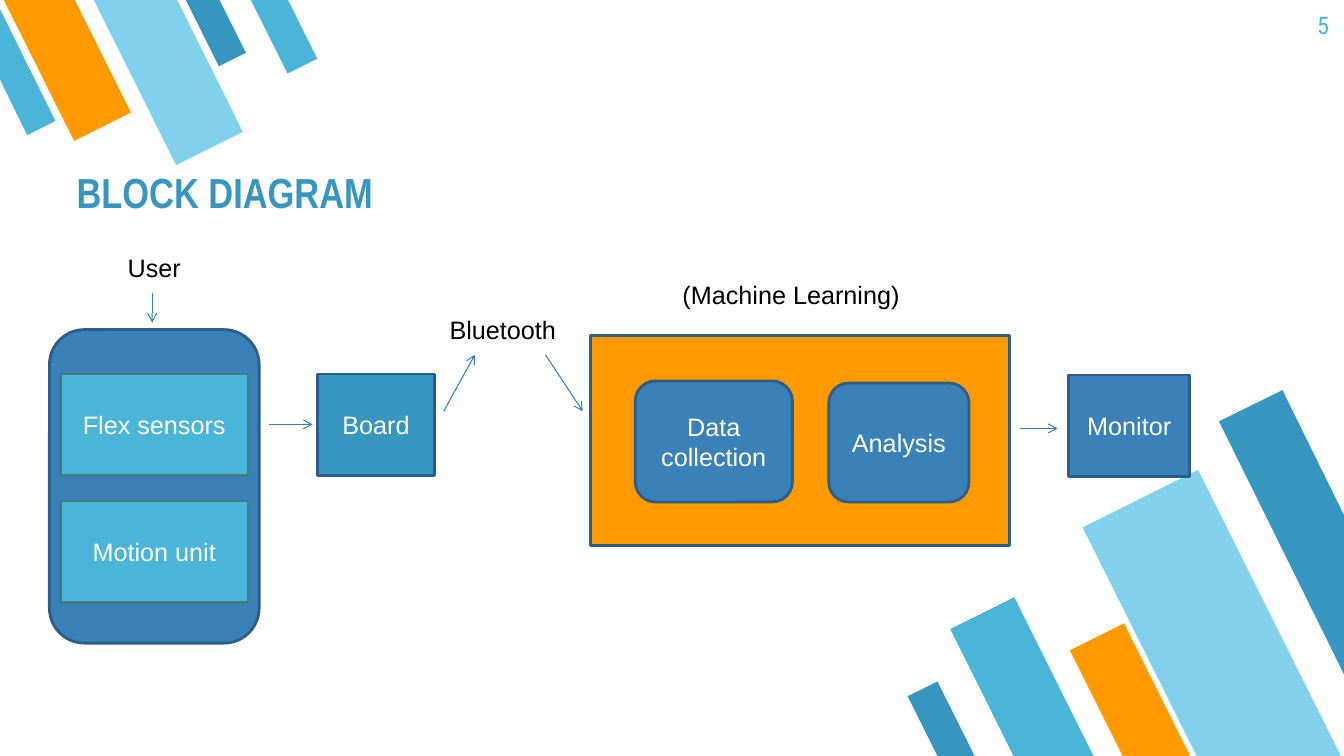
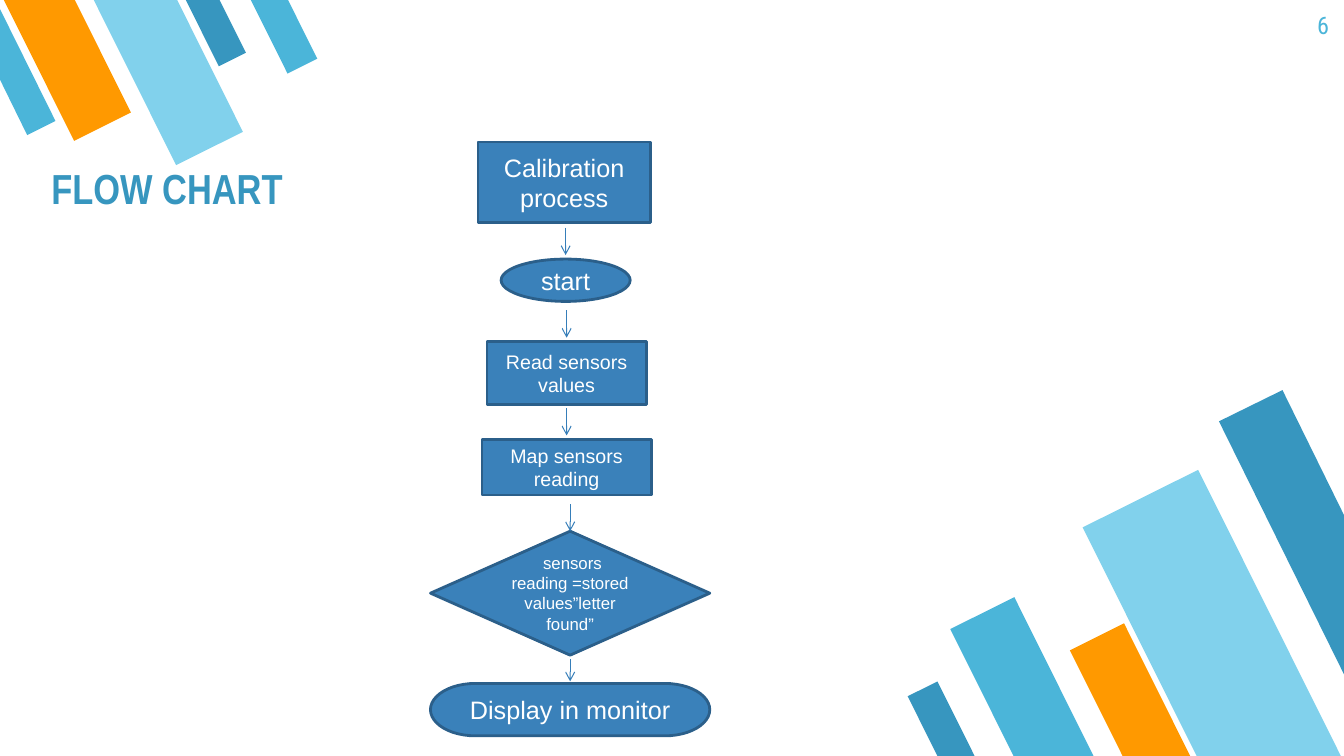
from lxml import etree
from pptx import Presentation
from pptx.dml.color import RGBColor
from pptx.enum.shapes import MSO_CONNECTOR, MSO_SHAPE
from pptx.enum.text import MSO_ANCHOR, MSO_AUTO_SIZE, PP_ALIGN
from pptx.oxml.ns import qn
from pptx.util import Inches, Pt

# Shared look
WHITE = RGBColor(0xFF, 0xFF, 0xFF)
BLACK = RGBColor(0x00, 0x00, 0x00)
BLUE = RGBColor(0x3A, 0x81, 0xBA)
DARK_BLUE = RGBColor(0x2B, 0x5F, 0x8A)
ARROW_BLUE = RGBColor(0x36, 0x7E, 0xB9)
TEAL = RGBColor(0x37, 0x96, 0xBF)
SKY = RGBColor(0x4B, 0xB5, 0xD9)
PALE = RGBColor(0x81, 0xD1, 0xEC)
ORANGE = RGBColor(0xFF, 0x99, 0x00)
SENSOR_EDGE = RGBColor(0x40, 0x7C, 0x86)

LEFT, CENTER, RIGHT = PP_ALIGN.LEFT, PP_ALIGN.CENTER, PP_ALIGN.RIGHT
TOP, MIDDLE, BOTTOM = MSO_ANCHOR.TOP, MSO_ANCHOR.MIDDLE, MSO_ANCHOR.BOTTOM
NO_AUTOFIT = MSO_AUTO_SIZE.NONE
STRAIGHT = MSO_CONNECTOR.STRAIGHT
RECTANGLE = MSO_SHAPE.RECTANGLE
ROUNDED = MSO_SHAPE.ROUNDED_RECTANGLE
OVAL = MSO_SHAPE.OVAL
PROCESS = MSO_SHAPE.FLOWCHART_PROCESS
DECISION = MSO_SHAPE.FLOWCHART_DECISION
TERMINATOR = MSO_SHAPE.FLOWCHART_TERMINATOR
STRIPE = MSO_SHAPE.FLOWCHART_MANUAL_INPUT

# Corner decoration: stripes (left, top, width, height, fill) and one cut stripe
CORNERS = [
    {"rotation": 153.5,
     "stripes": [(9.78, 5.99, 0.71, 1.76, SKY), (11.38, 4.78, 1.28, 3.18, PALE),
                 (10.91, 6.24, 0.6, 1.48, ORANGE), (9.17, 6.79, 0.33, 0.83, TEAL)],
     "cut": [(12.72, 3.87), (12.09, 4.18), (13.33, 6.69), (13.33, 5.11)],
     "cut_fill": TEAL},
    {"rotation": 333.5,
     "stripes": [(1.99, -0.11, 0.3, 0.74, TEAL), (0.35, -0.24, 0.63, 1.58, ORANGE),
                 (1.3, -0.26, 0.74, 1.83, PALE), (2.65, -0.13, 0.33, 0.83, SKY)],
     "cut": [(0.27, 1.34), (0.55, 1.2), (0, 0.09), (0, 0.79)],
     "cut_fill": SKY},
]

# Block diagram: (kind, box, fill, outline, text)
BLOCKS = [
    (ROUNDED, (0.49, 3.27, 2.08, 3.11), BLUE, DARK_BLUE, ""),
    (RECTANGLE, (0.6, 3.71, 1.86, 1.01), SKY, SENSOR_EDGE, "Flex sensors"),
    (RECTANGLE, (0.6, 4.97, 1.86, 1.01), SKY, SENSOR_EDGE, "Motion unit"),
    (RECTANGLE, (3.15, 3.71, 1.16, 1.01), TEAL, DARK_BLUE, "Board"),
    (RECTANGLE, (5.86, 3.33, 4.15, 2.08), ORANGE, DARK_BLUE, ""),
    (ROUNDED, (6.3, 3.78, 1.56, 1.2), BLUE, DARK_BLUE, "Data collection"),
    (ROUNDED, (8.22, 3.8, 1.39, 1.18), BLUE, DARK_BLUE, "Analysis"),
    (RECTANGLE, (10.6, 3.72, 1.2, 1.01), BLUE, DARK_BLUE, "Monitor"),
]
LABELS = [
    ("User", (0.82, 2.45, 1.42, 0.4), CENTER),
    ("Bluetooth", (4.36, 3.07, 1.29, 0.4), LEFT),
    ("(Machine Learning)", (6.67, 2.72, 2.38, 0.4), LEFT),
]
BLOCK_ARROWS = [
    ((1.51, 2.91), (1.51, 3.2)),
    ((2.67, 4.21), (3.1, 4.21)),
    ((4.4, 4.08), (4.71, 3.52)),
    ((5.41, 3.52), (5.78, 4.08)),
    ((10.12, 4.25), (10.49, 4.25)),
]

# Flow chart: (kind, box, text size, text, gap between arrow tip and this step)
STEPS = [
    (RECTANGLE, (4.74, 1.41, 1.71, 0.8), 18, "Calibration process", None),
    (OVAL, (4.97, 2.57, 1.28, 0.42), 18, "start", 0.04),
    (PROCESS, (4.83, 3.39, 1.58, 0.62), 14, "Read sensors values", 0.04),
    (PROCESS, (4.78, 4.36, 1.68, 0.55), 14, "Map sensors reading", 0.04),
    (DECISION, (4.27, 5.27, 2.77, 1.23), 12,
     " sensors reading =stored values”letter found”", 0),
    (TERMINATOR, (4.27, 6.78, 2.77, 0.52), 18, "Display in monitor", 0.02),
]
ARROW_LENGTH = 0.27
ARROW_CLEARANCE = 0.04


def inches(values):
    return [Inches(value) for value in values]


def write_text(shape, text, size=18, font="Arial", color=WHITE, bold=False,
               align=CENTER, anchor=MIDDLE, margin=0.05):
    frame = shape.text_frame
    frame.word_wrap = True
    frame.auto_size = NO_AUTOFIT
    frame.vertical_anchor = anchor
    frame.margin_left = frame.margin_right = Inches(0.1)
    frame.margin_top = frame.margin_bottom = Inches(margin)
    paragraph = frame.paragraphs[0]
    paragraph.alignment = align
    run = paragraph.add_run()
    run.text = text
    run.font.name, run.font.size, run.font.bold = font, Pt(size), bold
    run.font.color.rgb = color


def paint(shape, fill, outline=None):
    shape.shadow.inherit = False
    shape.fill.solid()
    shape.fill.fore_color.rgb = fill
    if outline is None:
        shape.line.fill.background()
    else:
        shape.line.color.rgb = outline
        shape.line.width = Pt(2)


def add_block(slide, kind, box, fill, outline, text, size=18):
    shape = slide.shapes.add_shape(kind, *inches(box))
    paint(shape, fill, outline)
    if text:
        write_text(shape, text, size=size)
    return shape


def add_label(slide, text, box, **text_format):
    write_text(slide.shapes.add_textbox(*inches(box)), text, anchor=TOP, **text_format)


def add_arrow(slide, start, end):
    arrow = slide.shapes.add_connector(STRAIGHT, *inches(start + end))
    arrow.line.color.rgb = ARROW_BLUE
    arrow.line.width = Pt(0.75)
    properties = arrow.element.spPr
    etree.SubElement(properties.find(qn("a:ln")), qn("a:tailEnd"), type="arrow")
    etree.SubElement(properties, qn("a:effectLst"))
    return arrow


def decorate_layout(layout, slide):
    """Build the corner stripes as groups and place them on the layout."""
    tree = layout.element.cSld.spTree
    shape_id = 100
    for corner in CORNERS:
        group = slide.shapes.add_group_shape()
        for *box, fill in corner["stripes"]:
            stripe = group.shapes.add_shape(STRIPE, *inches(box))
            stripe.rotation = corner["rotation"]
            stripe.element.spPr.xfrm.set("flipH", "1")
            paint(stripe, fill)
        first, *others = [inches(point) for point in corner["cut"]]
        builder = group.shapes.build_freeform(*first)
        builder.add_line_segments(others, close=True)
        paint(builder.convert_to_shape(), corner["cut_fill"])
        for properties in group.element.iter(qn("p:cNvPr")):
            properties.set("id", str(shape_id))
            shape_id += 1
        tree.insert(2, group.element)


def add_slide(presentation, layout, title, title_box, number):
    slide = presentation.slides.add_slide(layout)
    placeholder = slide.shapes.title
    (placeholder.left, placeholder.top,
     placeholder.width, placeholder.height) = inches(title_box)
    write_text(placeholder, title, size=30, font="Arial Narrow", color=TEAL,
               bold=True, align=LEFT, anchor=BOTTOM, margin=0.1)
    add_label(slide, number, (12.48, 0, 0.8, 0.57), size=17.3,
              font="Roboto Condensed", color=SKY, align=RIGHT, margin=0.1)
    return slide


def draw_block_diagram(slide):
    for block in BLOCKS:
        add_block(slide, *block)
    for text, box, align in LABELS:
        add_label(slide, text, box, color=BLACK, align=align)
    for start, end in BLOCK_ARROWS:
        add_arrow(slide, start, end)


def draw_flow_chart(slide):
    previous_bottom = 0
    for kind, box, size, text, gap in STEPS:
        step = add_block(slide, kind, box, BLUE, DARK_BLUE, text, size)
        left, top, width, height = box
        if gap is not None:
            center, tip = left + width / 2, top - gap
            tail = max(tip - ARROW_LENGTH, previous_bottom + ARROW_CLEARANCE)
            arrow = add_arrow(slide, (center, tail), (center, tip))
            if gap == 0:
                arrow.end_connect(step, 0)
        previous_bottom = top + height


def main():
    presentation = Presentation()
    presentation.slide_width = Inches(13.33)
    presentation.slide_height = Inches(7.5)
    layout = presentation.slide_layouts[5]

    block_slide = add_slide(presentation, layout, "BLOCK DIAGRAM",
                            (0.66, 1.26, 8.4, 0.99), "5")
    decorate_layout(layout, block_slide)
    draw_block_diagram(block_slide)

    flow_slide = add_slide(presentation, layout, "FLOW CHART",
                           (0.41, 1.54, 3.97, 0.67), "6")
    draw_flow_chart(flow_slide)
    presentation.save("out.pptx")


if __name__ == "__main__":
    main()
